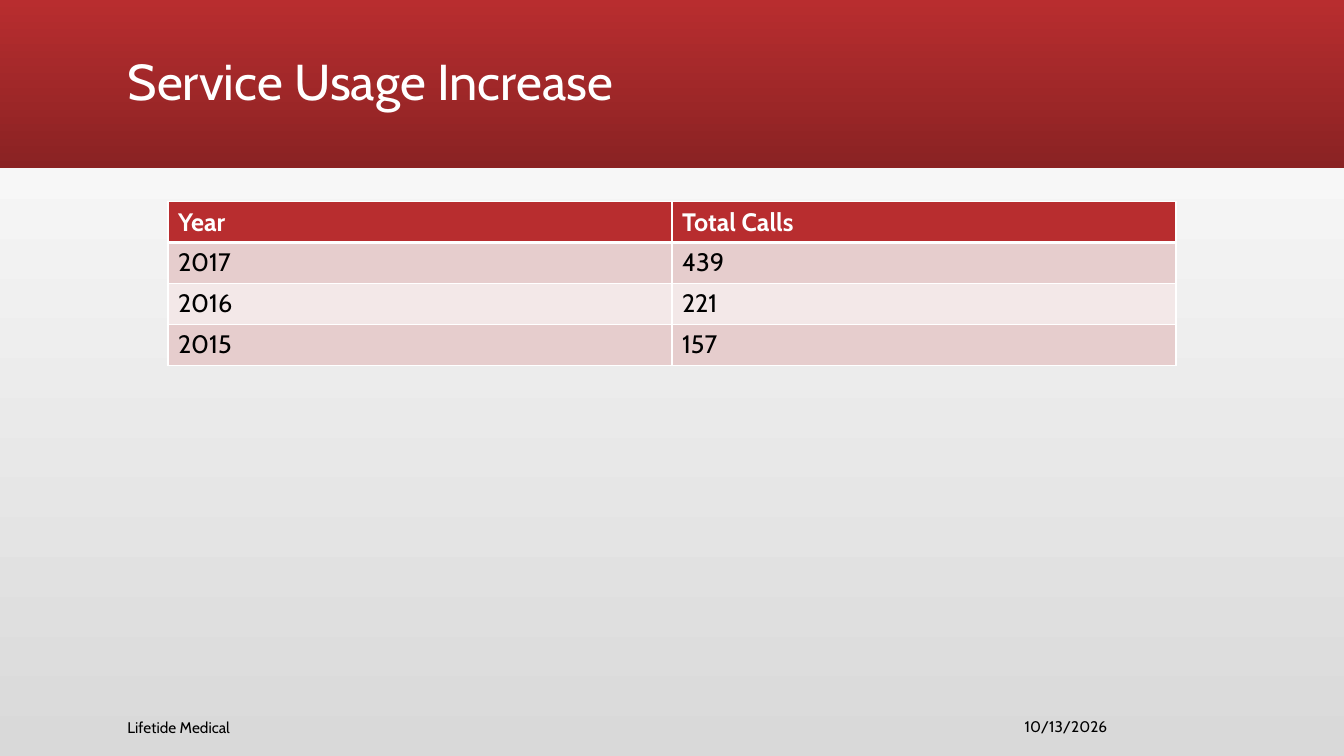
from dataclasses import dataclass
from typing import Any

from lxml.etree import SubElement
from pptx import Presentation
from pptx.dml.color import RGBColor as RGB
from pptx.dml.fill import FillFormat
from pptx.enum.shapes import MSO_SHAPE as Shape
from pptx.enum.text import MSO_ANCHOR as Anchor, MSO_AUTO_SIZE as AutoSize, PP_ALIGN as Align
from pptx.oxml.ns import qn
from pptx.slide import Slide
from pptx.table import _Cell as Cell
from pptx.util import Pt


@dataclass(frozen=True)
class Theme:
    font: str = "Cabin"
    white: str = "FFFFFF"
    black: str = "000000"
    gray: str = "D9D9D9"
    red: str = "B82D2F"
    dark_red: str = "8A2223"
    bands: tuple[str, str] = ("E6CDCD", "F3E8E8")
    title_size: float = 36
    table_size: float = 18
    footer_size: float = 11
    thin: float = 1
    thick: float = 3


@dataclass(frozen=True)
class Box:
    left: float
    top: float
    width: float
    height: float

    def lengths(self) -> tuple[Pt, Pt, Pt, Pt]:
        return Pt(self.left), Pt(self.top), Pt(self.width), Pt(self.height)


@dataclass(frozen=True)
class Footer:
    text: str
    box: Box
    align: Align


THEME = Theme()
SLIDE_W, SLIDE_H = 960, 540
BAND = Box(0, 0, SLIDE_W, 120)
TITLE = Box(84, 8, 792, 104)
TABLE = Box(120, 144, 720, 116.64)
CALLS = (("Year", "Total Calls"), ("2017", "439"), ("2016", "221"), ("2015", "157"))
FOOTERS = (
    Footer("10/13/2026", Box(714, 509.5, 84, 18.5), Align.RIGHT),
    Footer("Lifetide Medical", Box(84, 510.5, 618, 18.5), Align.LEFT),
)


def set_all(target: Any, values: dict[str, Any]) -> None:
    for name, value in values.items():
        setattr(target, name, value)


def write(tf: Any, text: str, size: float, color: str, bold: bool = False,
          align: Align = Align.LEFT, spacing: float = 1.0) -> None:
    p = tf.paragraphs[0]
    set_all(p, {"alignment": align, "line_spacing": spacing})
    r = p.add_run()
    r.text = text
    set_all(r.font, {"name": THEME.font, "size": Pt(size), "bold": bold})
    r.font.color.rgb = RGB.from_string(color)


def shade(fill: FillFormat, start: str, end: str, angle: float) -> None:
    fill.gradient()
    fill.gradient_angle = angle
    for stop, color in zip(fill.gradient_stops, (start, end)):
        stop.color.rgb = RGB.from_string(color)


def add_heading(s: Slide, text: str) -> None:
    band = s.shapes.add_shape(Shape.RECTANGLE, *BAND.lengths())
    band.shadow.inherit = False
    band.line.fill.background()
    shade(band.fill, THEME.red, THEME.dark_red, 270)
    title = s.shapes.title
    title.element.addprevious(band.element)
    set_all(title, dict(zip(("left", "top", "width", "height"), TITLE.lengths())))
    set_all(title.text_frame, {"vertical_anchor": Anchor.MIDDLE, "word_wrap": True,
                               "auto_size": AutoSize.NONE})
    write(title.text_frame, text, THEME.title_size, THEME.white, spacing=0.9)


def add_borders(cell: Cell, top: float, bottom: float) -> None:
    tc_pr = cell._tc.get_or_add_tcPr()
    widths = {"lnL": THEME.thin, "lnR": THEME.thin, "lnT": top, "lnB": bottom}
    for side, width in widths.items():
        ln = SubElement(tc_pr, qn(f"a:{side}"), w=str(int(Pt(width))))
        SubElement(SubElement(ln, qn("a:solidFill")), qn("a:srgbClr"), val=THEME.white)


def add_calls_table(s: Slide) -> None:
    table = s.shapes.add_table(len(CALLS), len(CALLS[0]), *TABLE.lengths()).table
    for row in table.rows:
        row.height = Pt(TABLE.height / len(CALLS))
    for i, values in enumerate(CALLS):
        header = i == 0
        fill = THEME.red if header else THEME.bands[(i - 1) % 2]
        color = THEME.white if header else THEME.black
        for j, value in enumerate(values):
            cell = table.cell(i, j)
            add_borders(cell, THEME.thick if i == 1 else THEME.thin,
                        THEME.thick if header else THEME.thin)
            cell.fill.solid()
            cell.fill.fore_color.rgb = RGB.from_string(fill)
            write(cell.text_frame, value, THEME.table_size, color, bold=header)


def add_footer(s: Slide, footer: Footer) -> None:
    tf = s.shapes.add_textbox(*footer.box.lengths()).text_frame
    set_all(tf, {"word_wrap": True, "vertical_anchor": Anchor.MIDDLE})
    write(tf, footer.text, THEME.footer_size, THEME.black, align=footer.align)


def main() -> None:
    prs = Presentation()
    set_all(prs, {"slide_width": Pt(SLIDE_W), "slide_height": Pt(SLIDE_H)})
    s = prs.slides.add_slide(prs.slide_layouts.get_by_name("Title Only"))
    shade(s.background.fill, THEME.gray, THEME.white, 90)
    add_heading(s, "Service Usage Increase")
    add_calls_table(s)
    for footer in FOOTERS:
        add_footer(s, footer)
    prs.save("out.pptx")


if __name__ == "__main__":
    main()
